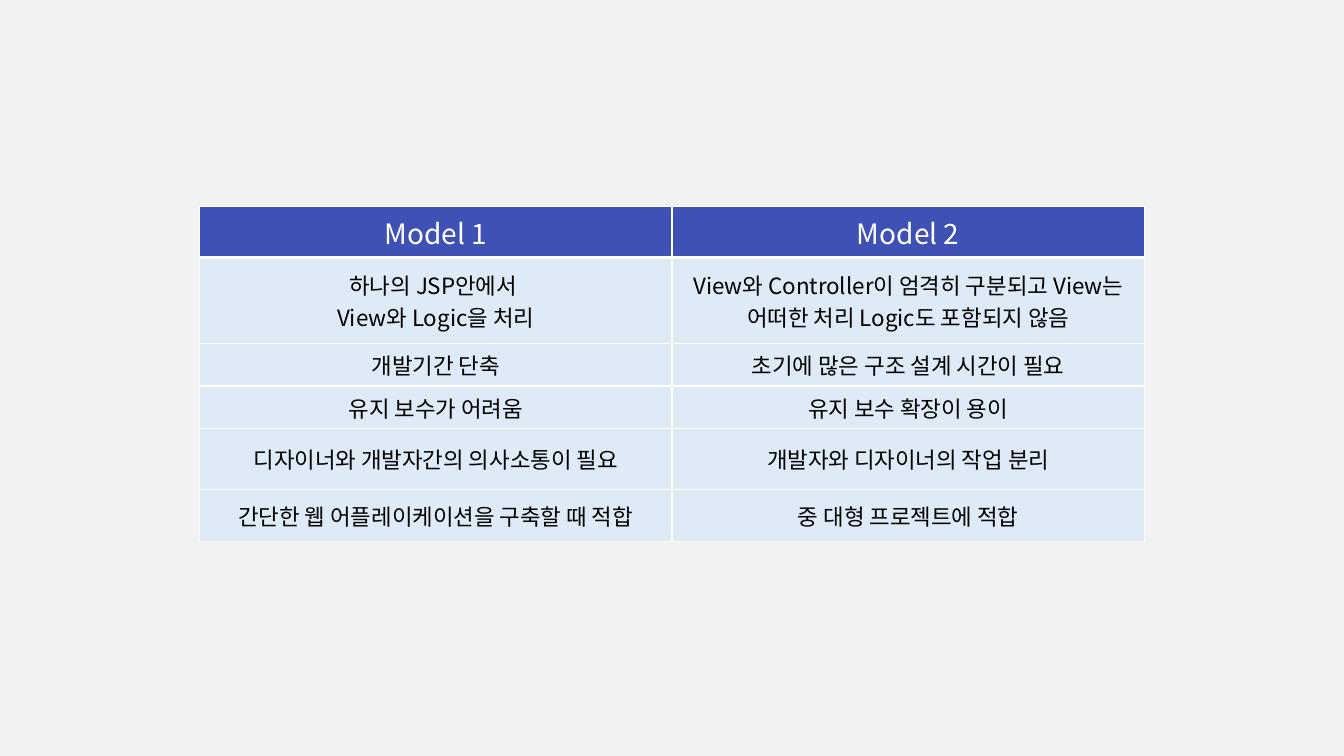
from lxml import etree
from pptx import Presentation
from pptx.dml.color import RGBColor
from pptx.enum.text import MSO_ANCHOR, PP_ALIGN
from pptx.oxml.ns import qn
from pptx.util import Pt

PX = 9525  # EMU per px, 96 px to the inch
FONT = "Noto Sans CJK KR"
CENTER = PP_ALIGN.CENTER
MIDDLE = MSO_ANCHOR.MIDDLE

WHITE = RGBColor(0xFF, 0xFF, 0xFF)
BLACK = RGBColor(0x00, 0x00, 0x00)
GRAY = RGBColor(0xF2, 0xF2, 0xF2)
INDIGO = RGBColor(0x3F, 0x51, 0xB5)
PALE = RGBColor(0xDE, 0xEB, 0xF7)

HEIGHTS = [47, 82, 36, 36, 58, 50]
ROWS = [
    ("Model 1", "Model 2"),
    ("하나의 JSP안에서 \nView와 Logic을 처리",
     "View와 Controller이 엄격히 구분되고 View는 어떠한 처리 Logic도 포함되지 않음"),
    ("개발기간 단축", "초기에 많은 구조 설계 시간이 필요"),
    ("유지 보수가 어려움", "유지 보수 확장이 용이"),
    ("디자이너와 개발자간의 의사소통이 필요", "개발자와 디자이너의 작업 분리"),
    ("간단한 웹 어플레이케이션을 구축할 때 적합", "중 대형 프로젝트에 적합"),
]


class Deck:
    def __init__(self, width, height):
        self.prs = Presentation()
        self.prs.slide_width = width * PX
        self.prs.slide_height = height * PX

    def page(self, color):
        self.slide = self.prs.slides.add_slide(self.prs.slide_layouts[6])
        fill = self.slide.background.fill
        fill.solid()
        fill.fore_color.rgb = color

    def table(self, left, top, width, rows, heights):
        count = len(rows[0])
        frame = self.slide.shapes.add_table(
            len(rows), count, left * PX, top * PX,
            width * PX, sum(heights) * PX)
        table = frame.table
        for col in table.columns:
            col.width = width // count * PX
        for r, texts in enumerate(rows):
            table.rows[r].height = heights[r] * PX
            for c, text in enumerate(texts):
                cell = table.cell(r, c)
                if r == 0:
                    self.cell(cell, text, INDIGO, WHITE, 20)
                else:
                    self.cell(cell, text, PALE, BLACK, 16)
                # A thick rule parts the header from the body
                self.edges(cell, L=1, R=1, T=3 if r == 1 else 1,
                           B=3 if r == 0 else 1)

    def cell(self, cell, text, back, color, size):
        cell.fill.solid()
        cell.fill.fore_color.rgb = back
        cell.vertical_anchor = MIDDLE
        cell.text_frame.text = text
        for para in cell.text_frame.paragraphs:
            para.alignment = CENTER
            for run in para.runs:
                font = run.font
                font.name = FONT
                font.size = Pt(size)
                font.bold = False
                font.color.rgb = color
                # East Asian face for the Hangul
                props = run._r.get_or_add_rPr()
                etree.SubElement(props, qn("a:ea"), typeface=FONT)

    def edges(self, cell, **widths):
        props = cell._tc.get_or_add_tcPr()
        # Border lines must come before the fill, in the order L R T B
        for i, side in enumerate("LRTB"):
            line = etree.Element(qn("a:ln" + side), w=str(Pt(widths[side])))
            fill = etree.SubElement(line, qn("a:solidFill"))
            etree.SubElement(fill, qn("a:srgbClr"), val=str(WHITE))
            props.insert(i, line)


def main():
    deck = Deck(1280, 720)
    deck.page(GRAY)
    # Comparison of the two models
    deck.table(190, 197, 900, ROWS, HEIGHTS)
    deck.prs.save("out.pptx")


if __name__ == "__main__":
    main()
